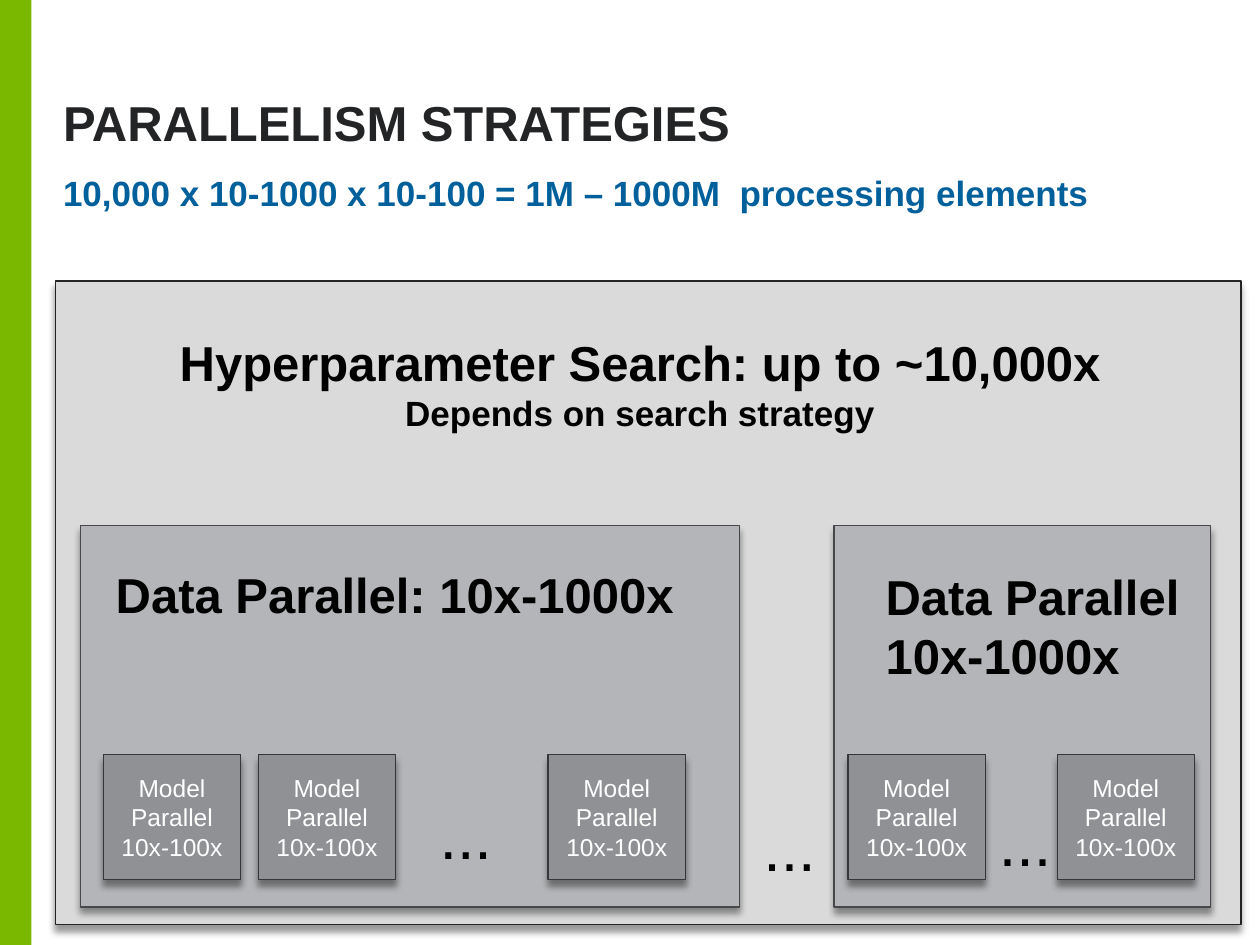
from lxml.etree import SubElement
from pptx import Presentation
from pptx.dml.color import RGBColor
from pptx.enum.shapes import MSO_SHAPE
from pptx.enum.text import MSO_ANCHOR, MSO_AUTO_SIZE, PP_ALIGN
from pptx.oxml.ns import qn
from pptx.util import Inches, Pt

COLORS = {
    "accent": "7AB800", "title": "232425", "subtitle": "00609C",
    "text": "000000", "light text": "FFFFFF",
    "search": "DADADB", "search line": "232425",
    "data": "B4B5B8", "data line": "47484A",
    "model": "8F9194", "model line": "353638",
}
FONT = "Arial"

# Content
TITLE = "PARALLELISM STRATEGIES"
SUBTITLE = "10,000 x 10-1000 x 10-100 = 1M – 1000M  processing elements"
MODEL_LINES = ["Model", "Parallel", "10x-100x"]

# Nested panels: left, top, width, height, level
PANELS = [
    (0.44, 2.23, 9.41, 5.11, "search"),
    (0.64, 4.17, 5.23, 3.03, "data"),
    (6.62, 4.17, 2.99, 3.03, "data"),
]
MODEL_LEFTS = [0.82, 2.05, 4.35, 6.73, 8.39]
MODEL_TOP, MODEL_WIDTH, MODEL_HEIGHT = 5.99, 1.09, 0.99

# Labels: left, top, width, height, alignment, lines with their sizes
LABELS = [
    (1.28, 2.59, 7.6, 0.91, PP_ALIGN.CENTER,
     [("Hyperparameter Search: up to ~10,000x", 28), ("Depends on search strategy", 20)]),
    (0.82, 4.43, 4.69, 0.57, PP_ALIGN.LEFT, [("Data Parallel: 10x-1000x", 28)]),
    (6.93, 4.45, 2.78, 1.04, PP_ALIGN.LEFT, [("Data Parallel", 28), ("10x-1000x", 28)]),
]
ELLIPSES = [(3.39, 6.27), (5.96, 6.37), (7.83, 6.33)]


def color(name):
    return RGBColor.from_string(COLORS[name])


def write_lines(frame, lines, color_name, bold=False, align=PP_ALIGN.LEFT):
    for index, (text, size) in enumerate(lines):
        paragraph = frame.add_paragraph() if index else frame.paragraphs[0]
        paragraph.text = text
        paragraph.alignment = align
        font = paragraph.font
        font.name, font.size, font.bold = FONT, Pt(size), bold
        font.color.rgb = color(color_name)


def add_shadow(shape):
    effects = shape._element.spPr.find(qn("a:effectLst"))
    shadow = SubElement(effects, qn("a:outerShdw"), blurRad=str(Pt(4)),
                        dist=str(Pt(3.4)), dir="5400000", rotWithShape="0")
    tint = SubElement(shadow, qn("a:srgbClr"), val=COLORS["text"])
    SubElement(tint, qn("a:alpha"), val="40000")


def add_box(page, left, top, width, height, level, outlined=True):
    box = page.shapes.add_shape(MSO_SHAPE.RECTANGLE, Inches(left), Inches(top),
                                Inches(width), Inches(height))
    box.shadow.inherit = False
    box.fill.solid()
    box.fill.fore_color.rgb = color(level)
    if outlined:
        box.line.color.rgb = color(level + " line")
        box.line.width = Pt(0.75)
        add_shadow(box)
    else:
        box.line.fill.background()
    return box


def add_label(page, left, top, width, height, lines, bold=False, align=PP_ALIGN.LEFT):
    label = page.shapes.add_textbox(Inches(left), Inches(top), Inches(width), Inches(height))
    label.text_frame.word_wrap = False
    label.text_frame.auto_size = MSO_AUTO_SIZE.SHAPE_TO_FIT_TEXT
    write_lines(label.text_frame, lines, "text", bold, align)


def fill_placeholder(holder, top, height, text, size, color_name, spacing, anchor):
    holder.left, holder.top = Inches(0.5), Inches(top)
    holder.width, holder.height = Inches(9.16), Inches(height)
    frame = holder.text_frame
    frame.margin_left = frame.margin_right = frame.margin_top = frame.margin_bottom = 0
    frame.auto_size = MSO_AUTO_SIZE.NONE
    frame.vertical_anchor = anchor
    write_lines(frame, [(text, size)], color_name, bold=True)
    frame.paragraphs[0].line_spacing = spacing
    frame.paragraphs[0].space_before = Pt(0)


def main():
    deck = Presentation()
    deck.slide_width, deck.slide_height = Inches(10), Inches(7.5)
    page = deck.slides.add_slide(deck.slide_layouts[2])  # title and plain body text

    # Heading and side bar
    add_box(page, 0, 0, 0.25, 7.5, "accent", outlined=False)
    title, subtitle = page.placeholders
    fill_placeholder(title, 0.3, 0.91, TITLE, 28, "title", 0.95, MSO_ANCHOR.BOTTOM)
    fill_placeholder(subtitle, 1.4, 0.55, SUBTITLE, 20, "subtitle", 0.9, MSO_ANCHOR.TOP)

    # Search panel with its data-parallel panels
    for panel in PANELS:
        add_box(page, *panel)

    # Model-parallel boxes
    for left in MODEL_LEFTS:
        box = add_box(page, left, MODEL_TOP, MODEL_WIDTH, MODEL_HEIGHT, "model")
        box.text_frame.vertical_anchor = MSO_ANCHOR.MIDDLE
        write_lines(box.text_frame, [(line, 14) for line in MODEL_LINES],
                    "light text", align=PP_ALIGN.CENTER)

    # Panel labels and ellipses
    for left, top, width, height, align, lines in LABELS:
        add_label(page, left, top, width, height, lines, bold=True, align=align)
    for left, top in ELLIPSES:
        add_label(page, left, top, 0.62, 0.71, [("...", 36)])

    deck.save("out.pptx")


if __name__ == "__main__":
    main()
